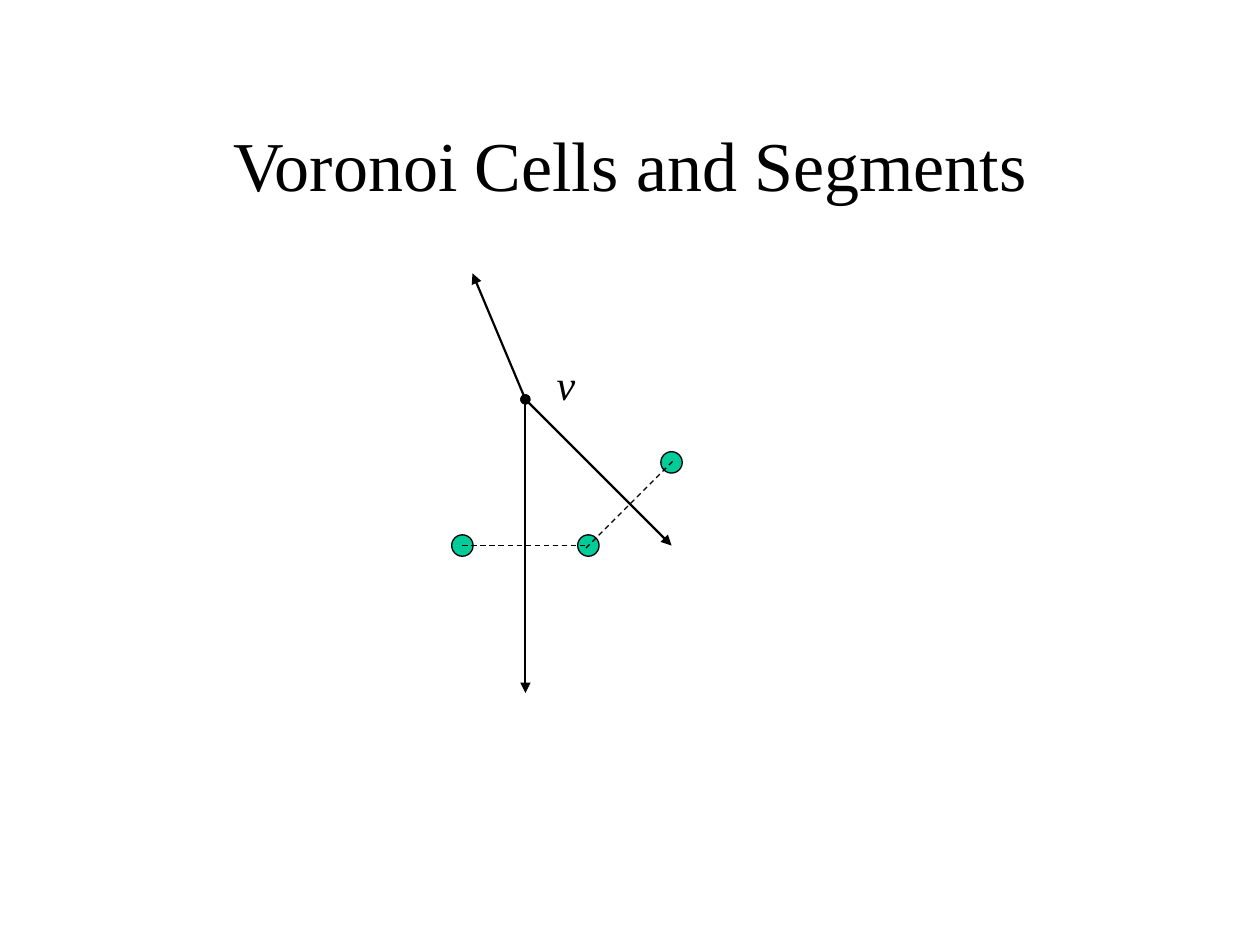
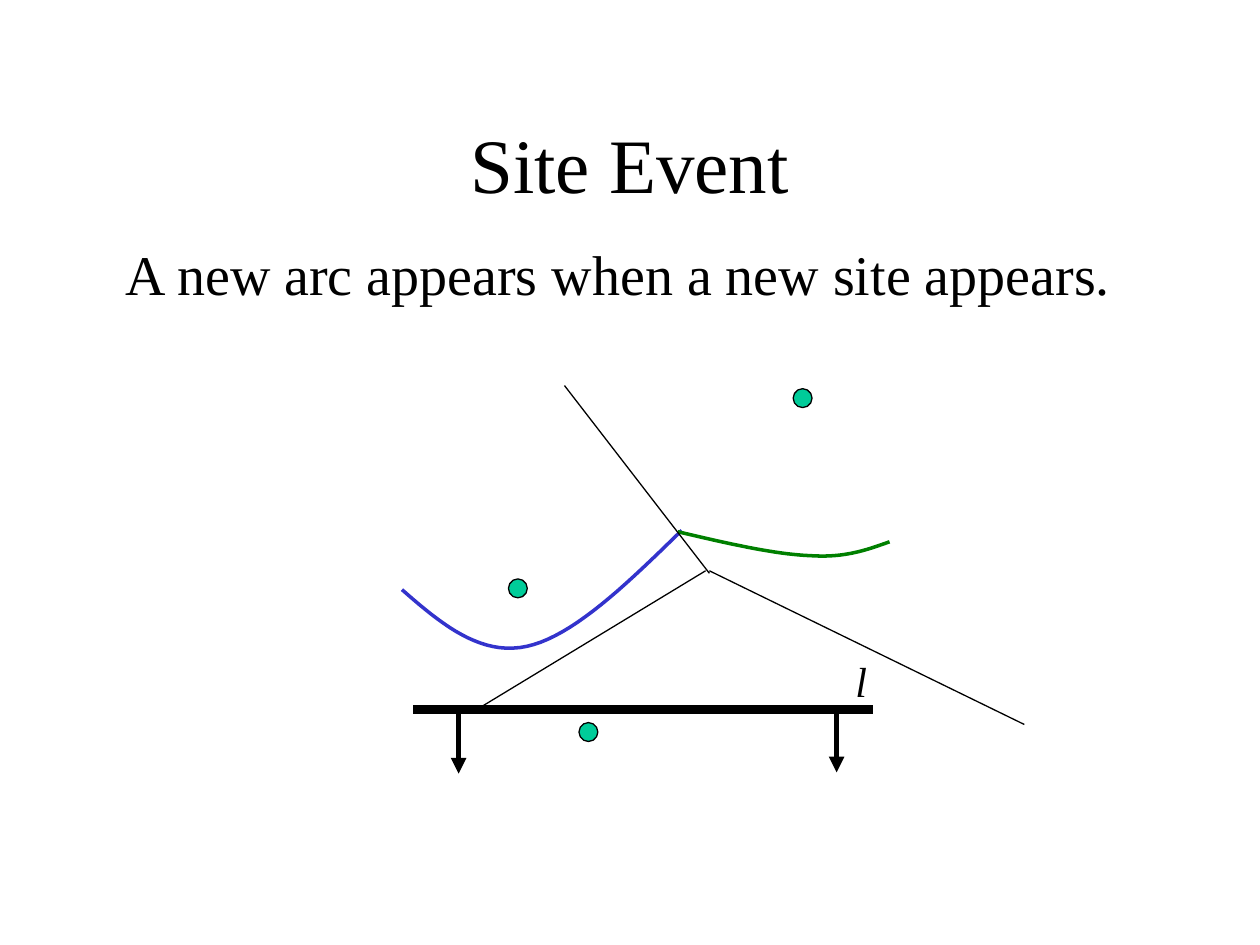
from dataclasses import dataclass
from typing import Optional

from lxml.etree import SubElement
from pptx import Presentation
from pptx.dml.color import RGBColor
from pptx.enum.dml import MSO_LINE
from pptx.enum.shapes import MSO_CONNECTOR, MSO_SHAPE
from pptx.enum.text import MSO_ANCHOR, MSO_AUTO_SIZE, PP_ALIGN
from pptx.oxml.ns import qn
from pptx.util import Inches, Pt

Point = tuple[float, float]


@dataclass(frozen=True)
class Theme:
    font: str = "Times New Roman"
    ink: str = "000000"
    site: str = "00CC99"
    blue_arc: str = "3333CC"
    green_arc: str = "008000"
    title: float = 44
    long_title: float = 40
    body: float = 32
    label: float = 24
    thin: float = 0.75
    ray: float = 1.25
    arc: float = 2
    arrow: float = 3
    sweep: float = 5


THEME = Theme()


@dataclass(frozen=True)
class Line:
    start: Point
    end: Point
    width: float = THEME.thin
    dashed: bool = False
    head: Optional[str] = None
    tail: Optional[str] = None


@dataclass(frozen=True)
class Arc:
    """A chain of cubic Bezier curves: a start, then three points per curve."""
    points: tuple[Point, ...]
    color: str


def set_text(tf, text: str, *, size: float, italic: bool = False,
             align=PP_ALIGN.LEFT, anchor=MSO_ANCHOR.TOP, wrap: bool = True) -> None:
    tf.word_wrap = wrap
    tf.auto_size = MSO_AUTO_SIZE.NONE if wrap else MSO_AUTO_SIZE.SHAPE_TO_FIT_TEXT
    tf.vertical_anchor = anchor
    p = tf.paragraphs[0]
    p.alignment = align
    r = p.add_run()
    r.text = text
    r.font.name = THEME.font
    r.font.size = Pt(size)
    r.font.italic = italic
    r.font.color.rgb = RGBColor.from_string(THEME.ink)


def set_line(line, color: str, width: float) -> None:
    line.color.rgb = RGBColor.from_string(color)
    line.width = Pt(width)


def add_titled_slide(prs, title: str, size: float):
    s = prs.slides.add_slide(prs.slide_layouts[5])
    sp = s.shapes.title
    sp.left, sp.top, sp.width, sp.height = map(Inches, (0.75, 0.67, 8.5, 1.25))
    set_text(sp.text_frame, title, size=size, align=PP_ALIGN.CENTER,
             anchor=MSO_ANCHOR.MIDDLE)
    return s


def add_text(s, left: float, top: float, width: float, height: float,
             text: str, **fmt) -> None:
    sp = s.shapes.add_textbox(*map(Inches, (left, top, width, height)))
    set_text(sp.text_frame, text, **fmt)


def add_site(s, center: Point, diameter: float) -> None:
    x, y = (c - diameter / 2 for c in center)
    sp = s.shapes.add_shape(MSO_SHAPE.OVAL, *map(Inches, (x, y, diameter, diameter)))
    sp.shadow.inherit = False
    sp.fill.solid()
    sp.fill.fore_color.rgb = RGBColor.from_string(THEME.site)
    set_line(sp.line, THEME.ink, THEME.thin)


def add_line(s, spec_line: Line) -> None:
    ends = map(Inches, (*spec_line.start, *spec_line.end))
    sp = s.shapes.add_connector(MSO_CONNECTOR.STRAIGHT, *ends)
    set_line(sp.line, THEME.ink, spec_line.width)
    if spec_line.dashed:
        sp.line.dash_style = MSO_LINE.DASH
    ln = sp.line._get_or_add_ln()
    for tag, kind in (("a:headEnd", spec_line.head), ("a:tailEnd", spec_line.tail)):
        if kind:
            SubElement(ln, qn(tag), type=kind)
    SubElement(sp._element.spPr, qn("a:effectLst"))


def bezier(controls: tuple[Point, ...], t: float) -> Point:
    u = 1 - t
    weights = (u**3, 3 * u * u * t, 3 * u * t * t, t**3)
    x, y = (sum(w * c for w, c in zip(weights, axis)) for axis in zip(*controls))
    return x, y


def add_arc(s, arc: Arc, steps: int = 20) -> None:
    curve = [bezier(arc.points[i:i + 4], n / steps)
             for i in range(0, len(arc.points) - 1, 3)
             for n in range(1, steps + 1)]
    builder = s.shapes.build_freeform(*map(Inches, arc.points[0]))
    builder.add_line_segments([(Inches(x), Inches(y)) for x, y in curve], close=False)
    sp = builder.convert_to_shape()
    sp.shadow.inherit = False
    sp.fill.background()
    set_line(sp.line, arc.color, THEME.arc)


def build_cells_slide(prs) -> None:
    s = add_titled_slide(prs, "Voronoi Cells and Segments", THEME.long_title)
    left, middle, right = (3.67, 4.33), (4.67, 4.33), (5.33, 3.67)
    for site in (left, middle, right):
        add_site(s, site, 0.17)
    add_line(s, Line(left, middle, dashed=True))
    add_line(s, Line((4.65, 4.35), (5.35, 3.65), dashed=True))

    vertex = (4.17, 3.17)
    for end, head in (((4.17, 5.5), None), ((3.75, 2.17), "oval"), ((5.33, 4.33), "oval")):
        add_line(s, Line(vertex, end, THEME.ray, head=head, tail="triangle"))
    add_text(s, 4.32, 2.8, 0.35, 0.5, "v", size=THEME.label, italic=True, wrap=False)


def build_site_event_slide(prs) -> None:
    s = add_titled_slide(prs, "Site Event", THEME.title)
    add_text(s, 0.66, 1.85, 8.5, 0.74, "A new arc appears when a new site appears.",
             size=THEME.body, align=PP_ALIGN.CENTER)
    for site in ((4.11, 4.67), (6.37, 3.16), (4.67, 5.81)):
        add_site(s, site, 0.15)

    arcs = (
        Arc(((3.19, 4.68), (3.5, 4.95), (3.81, 5.21), (4.18, 5.13),
             (4.55, 5.05), (4.98, 4.63), (5.41, 4.21)), THEME.blue_arc),
        Arc(((5.38, 4.22), (5.76, 4.31), (6.15, 4.4), (6.43, 4.41),
             (6.71, 4.43), (6.89, 4.36), (7.06, 4.3)), THEME.green_arc),
    )
    for arc in arcs:
        add_arc(s, arc)

    lines = (
        Line((3.28, 5.63), (6.93, 5.63), THEME.sweep),
        Line((3.64, 5.66), (3.64, 6.14), THEME.arrow, tail="triangle"),
        Line((6.64, 5.64), (6.64, 6.13), THEME.arrow, tail="triangle"),
        Line((4.48, 3.06), (5.63, 4.55)),
        Line((3.77, 5.64), (5.6, 4.53)),
        Line((5.63, 4.53), (8.13, 5.75)),
    )
    for line in lines:
        add_line(s, line)
    add_text(s, 6.69, 5.15, 0.29, 0.5, "l", size=THEME.label, italic=True, wrap=False)


def main() -> None:
    prs = Presentation()
    prs.slide_width, prs.slide_height = Inches(10), Inches(7.5)
    build_cells_slide(prs)
    build_site_event_slide(prs)
    prs.save("out.pptx")


if __name__ == "__main__":
    main()
